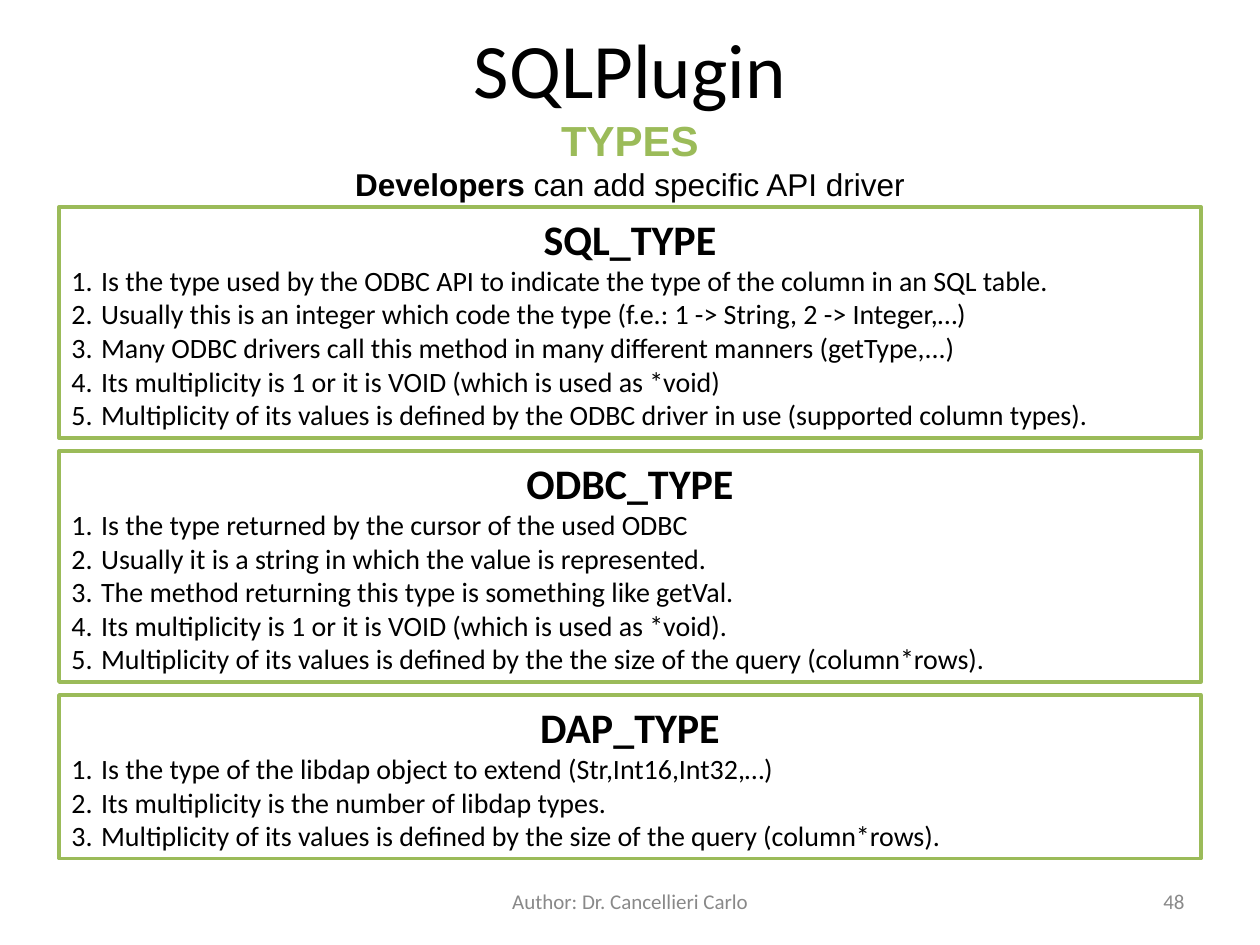
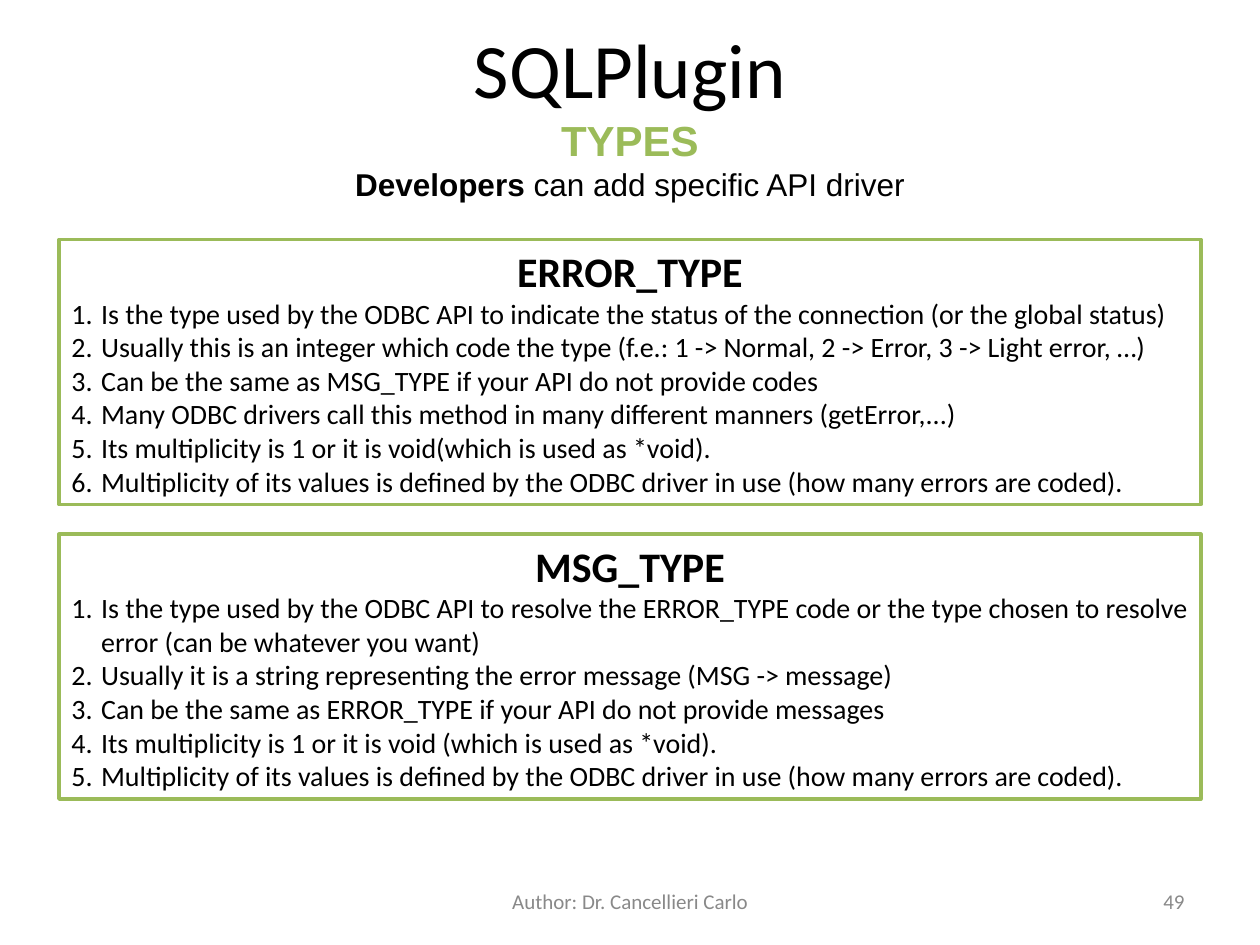
from math import ceil

from lxml import etree
from pptx import Presentation
from pptx.dml.color import RGBColor
from pptx.enum.shapes import MSO_SHAPE
from pptx.enum.text import MSO_ANCHOR, MSO_AUTO_SIZE, PP_ALIGN
from pptx.oxml.ns import qn
from pptx.util import Cm, Pt

COLORS = {"text": "000000", "accent": "9BBB59", "muted": "898989", "paper": "FFFFFF"}
HEAD_FONT, BODY_FONT = "Arial", "Calibri"

LEFT, WIDTH = 1.19, 23.02
PANEL_BASE, LINE_HEIGHT = 1.26, 0.68
CHARS_PER_LINE = 110
NUMBER_INDENT = 0.6

FIRST_NUMBER = 48
SLIDES = [
    {"top": 4.17, "gap": 0.26, "panels": [
        ("SQL_TYPE", [
            "Is the type used by the ODBC API to indicate the type of the column in an SQL table.",
            "Usually this is an integer which code the type (f.e.: 1 -> String, 2 -> Integer,…)",
            "Many ODBC drivers call this method in many different manners (getType,...)",
            "Its multiplicity is 1 or it is VOID (which is used as *void)",
            "Multiplicity of its values is defined by the ODBC driver in use (supported column types).",
        ]),
        ("ODBC_TYPE", [
            "Is the type returned by the cursor of the used ODBC",
            "Usually it is a string in which the value is represented.",
            "The method returning this type is something like getVal.",
            "Its multiplicity is 1 or it is VOID (which is used as *void).",
            "Multiplicity of its values is defined by the the size of the query (column*rows).",
        ]),
        ("DAP_TYPE", [
            "Is the type of the libdap object to extend (Str,Int16,Int32,…)",
            "Its multiplicity is the number of libdap types.",
            "Multiplicity of its values is defined by the size of the query (column*rows).",
        ]),
    ]},
    {"top": 4.83, "gap": 0.6, "panels": [
        ("ERROR_TYPE", [
            "Is the type used by the ODBC API to indicate the status of the connection "
            "(or the global status)",
            "Usually this is an integer which code the type "
            "(f.e.: 1 -> Normal, 2 -> Error, 3 -> Light error, …)",
            "Can be the same as MSG_TYPE if your API do not provide codes",
            "Many ODBC drivers call this method in many different manners (getError,...)",
            "Its multiplicity is 1 or it is void(which is used as *void).",
            "Multiplicity of its values is defined by the ODBC driver in use "
            "(how many errors are coded).",
        ]),
        ("MSG_TYPE", [
            "Is the type used by the ODBC API to resolve the ERROR_TYPE code "
            "or the type chosen to resolve error (can be whatever you want)",
            "Usually it is a string representing the error message (MSG -> message)",
            "Can be the same as ERROR_TYPE if your API do not provide messages",
            "Its multiplicity is 1 or it is void (which is used as *void).",
            "Multiplicity of its values is defined by the ODBC driver in use "
            "(how many errors are coded).",
        ]),
    ]},
]


def rgb(name):
    return RGBColor.from_string(COLORS[name])


def add_run(p, text, size, font=BODY_FONT, color="text", bold=False):
    r = p.add_run()
    r.text = text
    r.font.size, r.font.name, r.font.bold = Pt(size), font, bold
    r.font.color.rgb = rgb(color)


def add_textbox(s, left, top, width, height, anchor=MSO_ANCHOR.MIDDLE, align=PP_ALIGN.CENTER):
    tf = s.shapes.add_textbox(Cm(left), Cm(top), Cm(width), Cm(height)).text_frame
    tf.word_wrap = True
    tf.vertical_anchor = anchor
    tf.paragraphs[0].alignment = align
    return tf


def number_paragraph(p):
    """Turn on automatic numbering with a hanging indent."""
    pPr = p._p.get_or_add_pPr()
    indent = Cm(NUMBER_INDENT)
    pPr.set("marL", str(indent))
    pPr.set("indent", str(-indent))
    etree.SubElement(pPr, qn("a:buAutoNum"), type="arabicPeriod")


def add_header(s):
    tf = add_textbox(s, 1.9, 0, 21.6, 2.74)
    add_run(tf.paragraphs[0], "SQLPlugin", 44)

    tf = add_textbox(s, LEFT, 2.18, WIDTH, 2.03, anchor=MSO_ANCHOR.TOP)
    add_run(tf.paragraphs[0], "TYPES", 24, HEAD_FONT, "accent", True)
    p = tf.add_paragraph()
    p.alignment = PP_ALIGN.CENTER
    add_run(p, "Developers", 18, HEAD_FONT, bold=True)
    add_run(p, " can add specific API driver", 18, HEAD_FONT)


def add_footer(s, number):
    tf = add_textbox(s, 18.2, 17.65, 5.93, 1.02, align=PP_ALIGN.RIGHT)
    add_run(tf.paragraphs[0], str(number), 12, color="muted")
    tf = add_textbox(s, 8.68, 17.65, 8.05, 1.02)
    add_run(tf.paragraphs[0], "Author: Dr. Cancellieri Carlo", 12, color="muted")


def panel_height(items):
    lines = sum(ceil(len(item) / CHARS_PER_LINE) for item in items)
    return PANEL_BASE + LINE_HEIGHT * lines


def add_panel(s, top, height, title, items):
    sp = s.shapes.add_shape(MSO_SHAPE.RECTANGLE, Cm(LEFT), Cm(top), Cm(WIDTH), Cm(height))
    sp.shadow.inherit = False
    sp.fill.solid()
    sp.fill.fore_color.rgb = rgb("paper")
    sp.line.color.rgb = rgb("accent")
    sp.line.width = Pt(2)

    tf = sp.text_frame
    tf.word_wrap = True
    tf.auto_size = MSO_AUTO_SIZE.SHAPE_TO_FIT_TEXT
    tf.vertical_anchor = MSO_ANCHOR.TOP
    p = tf.paragraphs[0]
    p.alignment = PP_ALIGN.CENTER
    add_run(p, title, 24, bold=True)
    for item in items:
        p = tf.add_paragraph()
        p.alignment = PP_ALIGN.JUSTIFY
        number_paragraph(p)
        add_run(p, item, 16)


def add_types_slide(prs, number, top, gap, panels):
    s = prs.slides.add_slide(prs.slide_layouts[6])
    add_header(s)
    for title, items in panels:
        height = panel_height(items)
        add_panel(s, top, height, title, items)
        top += height + gap
    add_footer(s, number)


def main():
    prs = Presentation()
    prs.slide_width, prs.slide_height = Cm(25.4), Cm(19.05)
    for number, content in enumerate(SLIDES, FIRST_NUMBER):
        add_types_slide(prs, number, **content)
    prs.save("out.pptx")


if __name__ == "__main__":
    main()
